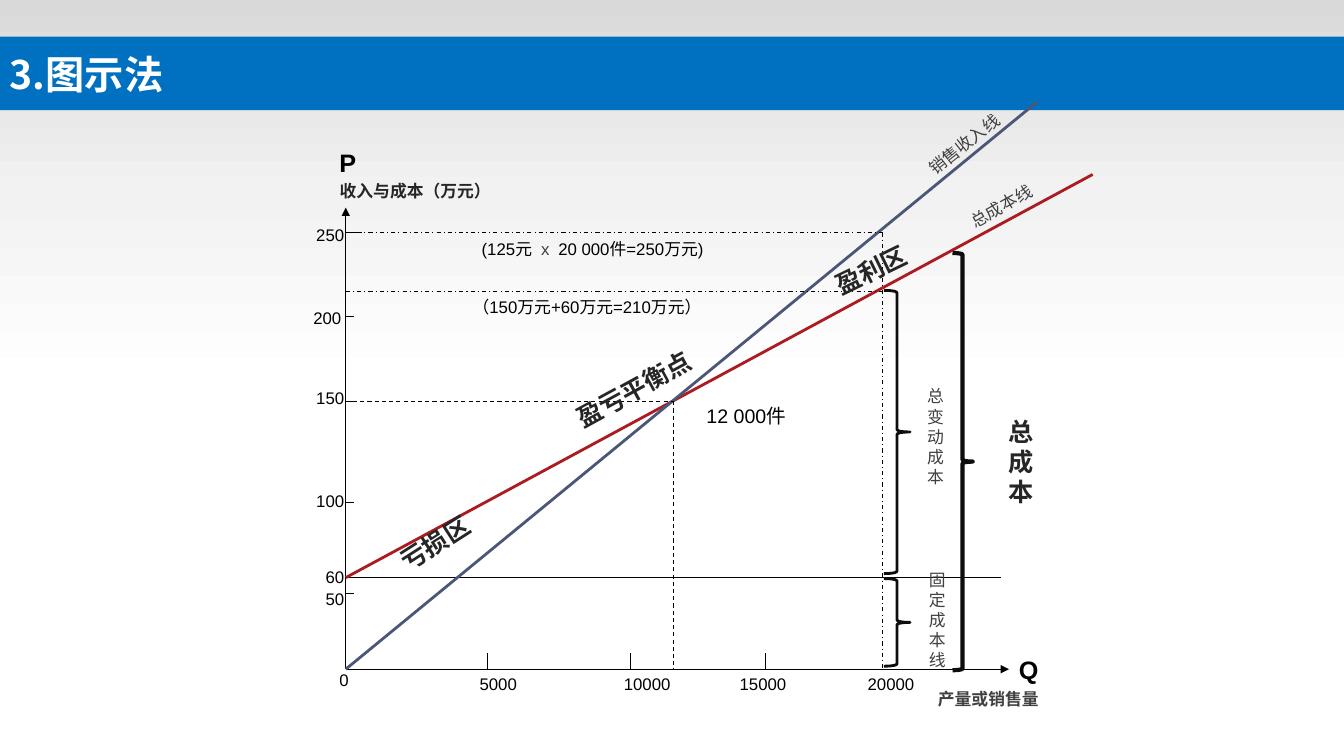
from copy import deepcopy
from pptx import Presentation
from pptx import util as u
from pptx.dml.color import RGBColor
from pptx.enum import dml, shapes, text
from pptx.oxml import ns
from lxml import etree

BLACK = RGBColor(0, 0, 0)
WHITE = RGBColor(255, 255, 255)
INK = RGBColor(0x26, 0x26, 0x26)
GREY = RGBColor(0x40, 0x40, 0x40)
BRACE = RGBColor(0x0D, 0x0D, 0x0D)
BLUE = RGBColor(0, 0x70, 0xC0)
COST = RGBColor(0xAC, 0x1B, 0x20)
REVENUE = RGBColor(0x4C, 0x57, 0x78)
FADE = [RGBColor(0xD9, 0xD9, 0xD9), RGBColor(0xF2, 0xF2, 0xF2), WHITE]
CJK = "Noto Sans CJK SC"
DASH, DASH_DOT = dml.MSO_LINE.DASH, dml.MSO_LINE.DASH_DOT
PLAIN = {"name": "Arial", "size": u.Pt(12), "bold": False, "color": BLACK}
SMALL = {**PLAIN, "color": GREY}
CAPTION = {**SMALL, "name": CJK}
AXIS_TITLE = {**CAPTION, "bold": True}
LETTER = {**PLAIN, "size": u.Pt(18), "bold": True}
ZONE = {**LETTER, "name": CJK, "color": INK}
LEFT, CENTER = text.PP_ALIGN.LEFT, text.PP_ALIGN.CENTER

deck = Presentation()
deck.slide_width, deck.slide_height = u.Pt(960), u.Pt(540)
page = deck.slides.add_slide(deck.slide_layouts[6])


def write(frame, words, style, align=LEFT):
    for number, line in enumerate(words.split("\n")):
        para = frame.add_paragraph() if number else frame.paragraphs[0]
        para.alignment = align
        span = para.add_run()
        span.text = line
        for key, value in style.items():
            if key == "color":
                span.font.color.rgb = value
            else:
                setattr(span.font, key, value)
        east = etree.SubElement(span.font._element, ns.qn("a:ea"))
        east.set("typeface", CJK)


def draw_line(x1, y1, x2, y2, color=BLACK, width=0.75, dash=None, arrow=False):
    line = page.shapes.add_connector(
        shapes.MSO_CONNECTOR.STRAIGHT, u.Pt(x1), u.Pt(y1), u.Pt(x2), u.Pt(y2))
    line.line.color.rgb = color
    line.line.width = u.Pt(width)
    if dash:
        line.line.dash_style = dash
    props = line._element.spPr
    if arrow:
        head = etree.SubElement(props.find(ns.qn("a:ln")), ns.qn("a:tailEnd"))
        head.set("type", "triangle")
    etree.SubElement(props, ns.qn("a:effectLst"))


backdrop = page.shapes.add_shape(
    shapes.MSO_SHAPE.RECTANGLE, 0, 0, u.Pt(960), u.Pt(275.8))
backdrop.shadow.inherit = False
backdrop.line.fill.background()
backdrop.fill.gradient()
backdrop.fill.gradient_angle = 270
stops = backdrop._element.spPr.find(".//" + ns.qn("a:gsLst"))
stops.append(deepcopy(stops[0]))
for index, stop in enumerate(backdrop.fill.gradient_stops):
    stop.color.rgb = FADE[index]
    stop.position = index / 2

title = page.shapes.add_shape(
    shapes.MSO_SHAPE.RECTANGLE, 0, u.Pt(26.2), u.Pt(960), u.Pt(52.6))
title.shadow.inherit = False
title.fill.solid()
title.fill.fore_color.rgb = BLUE
title.line.fill.background()
title.text_frame.vertical_anchor = text.MSO_ANCHOR.MIDDLE
write(title.text_frame, "3.图示法",
      {"name": CJK, "size": u.Pt(28), "bold": True, "color": WHITE})

AXIS_X, AXIS_Y = 247, 478
FIXED_Y, EVEN_X, EVEN_Y, FULL_X, FULL_Y = 412.6, 481, 286.6, 630.7, 166.3
draw_line(AXIS_X, AXIS_Y, AXIS_X, 148.3, arrow=True)
draw_line(AXIS_X, AXIS_Y, 720.7, AXIS_Y, arrow=True)
draw_line(AXIS_X, FIXED_Y, 715, FIXED_Y)
draw_line(AXIS_X, FIXED_Y, 780.5, 124.6, COST, 2)
draw_line(AXIS_X, AXIS_Y, 740.9, 72.7, REVENUE, 2)
draw_line(EVEN_X, EVEN_Y, EVEN_X, AXIS_Y, dash=DASH)
draw_line(AXIS_X, EVEN_Y, EVEN_X, EVEN_Y, dash=DASH)
draw_line(FULL_X, FULL_Y, FULL_X, AXIS_Y, dash=DASH_DOT)
for level in (FULL_Y, 208.2):
    draw_line(AXIS_X, level, FULL_X, level, dash=DASH_DOT)
for tick_y, length in ((424, 6), (358.6, 6), (EVEN_Y, 6), (226, 6), (FULL_Y, 11.5)):
    draw_line(AXIS_X, tick_y, AXIS_X + length, tick_y)
for tick_x in (348.5, 450.7, 546.5):
    draw_line(tick_x, AXIS_Y, tick_x, AXIS_Y - 11.5)

for left, top, width, height, weight in (
        (631.4, 207.4, 18.7, 202.3, 2),
        (680.4, 180.7, 14.4, 298.1, 3),
        (631.4, 413.3, 18.7, 62.6, 2)):
    brace = page.shapes.add_shape(
        shapes.MSO_SHAPE.RIGHT_BRACE, u.Pt(left), u.Pt(top), u.Pt(width), u.Pt(height))
    brace.shadow.inherit = False
    brace.fill.background()
    brace.line.color.rgb = BRACE
    brace.line.width = u.Pt(weight)

labels = [
    ("收入与成本（万元）", 215.3, 125.3, 162.7, 21.6, {**AXIS_TITLE, "color": INK}, CENTER, 0, True),
    ("产量或销售量", 662.4, 488.2, 87.1, 21.6, AXIS_TITLE, CENTER, 0, False),
    ("Q", 720.7, 463.7, 28.8, 28.8, LETTER, LEFT, 0, False),
    ("P", 235.4, 101.5, 26.6, 28.8, LETTER, LEFT, 0, False),
    ("销售收入线", 651.6, 92.2, 74.9, 21.6, CAPTION, LEFT, 321.4, False),
    ("总成本线", 681.1, 124.6, 110.2, 21.6, CAPTION, LEFT, 330.7, True),
    ("固定成本线", 653, 403.2, 33.1, 79.9, SMALL, CENTER, 0, True),
    ("总变动成本", 655.2, 272.2, 21.6, 79.9, SMALL, LEFT, 0, True),
    ("总\n成\n本", 713.5, 293.8, 32.4, 72.7, {**ZONE, "name": "Arial"}, CENTER, 0, False),
    ("盈亏平衡点", 402.5, 247, 177.1, 50.4, {**ZONE, "name": "Arial"}, LEFT, 331.4, True),
    ("亏损区", 282.7, 371.5, 69, 51.1, ZONE, LEFT, 327.3, True),
    ("盈利区", 588.2, 178.6, 69.1, 28.8, ZONE, LEFT, 334.1, False),
    ("(125元", 337, 167, 115.2, 21.6, PLAIN, LEFT, 0, True),
    ("x", 379.4, 167, 23.8, 21.6, SMALL, LEFT, 0, True),
    ("20 000件=250万元)", 391.7, 167, 208.1, 21.6, PLAIN, LEFT, 0, True),
    ("（150万元+60万元=210万元）", 330.5, 208.1, 179.3, 21.6, PLAIN, LEFT, 0, True),
    ("12 000件", 497.5, 285.1, 72, 24.5, {**PLAIN, "size": u.Pt(14)}, LEFT, 0, True),
]
for mark, left, width in (("0", 235.4, 20.9), ("5000", 335.5, 41),
                          ("10000", 438.5, 82.8), ("15000", 521.3, 48.2),
                          ("20000", 612.7, 48.2)):
    top = 475.2 if mark == "0" else AXIS_Y
    labels.append((mark, left, top, width, 21.6, PLAIN, LEFT, 0, mark == "10000"))
for mark, top in (("50", 416.9), ("60", 401), ("100", 347), ("150", 273.6),
                  ("200", 216), ("250", 157)):
    width = 14.6 + 6.67 * len(mark)
    left = 216.7 if mark == "200" else 253.4 - width
    labels.append((mark, left, top, width, 21.6, PLAIN, LEFT, 0, False))

for words, left, top, width, height, style, align, turn, wrap in labels:
    box = page.shapes.add_textbox(u.Pt(left), u.Pt(top), u.Pt(width), u.Pt(height))
    box.rotation = turn
    box.text_frame.word_wrap = wrap
    write(box.text_frame, words, style, align)
    if words == "盈亏平衡点":
        box.text_frame.paragraphs[0].line_spacing = 0.9

deck.save("out.pptx")
